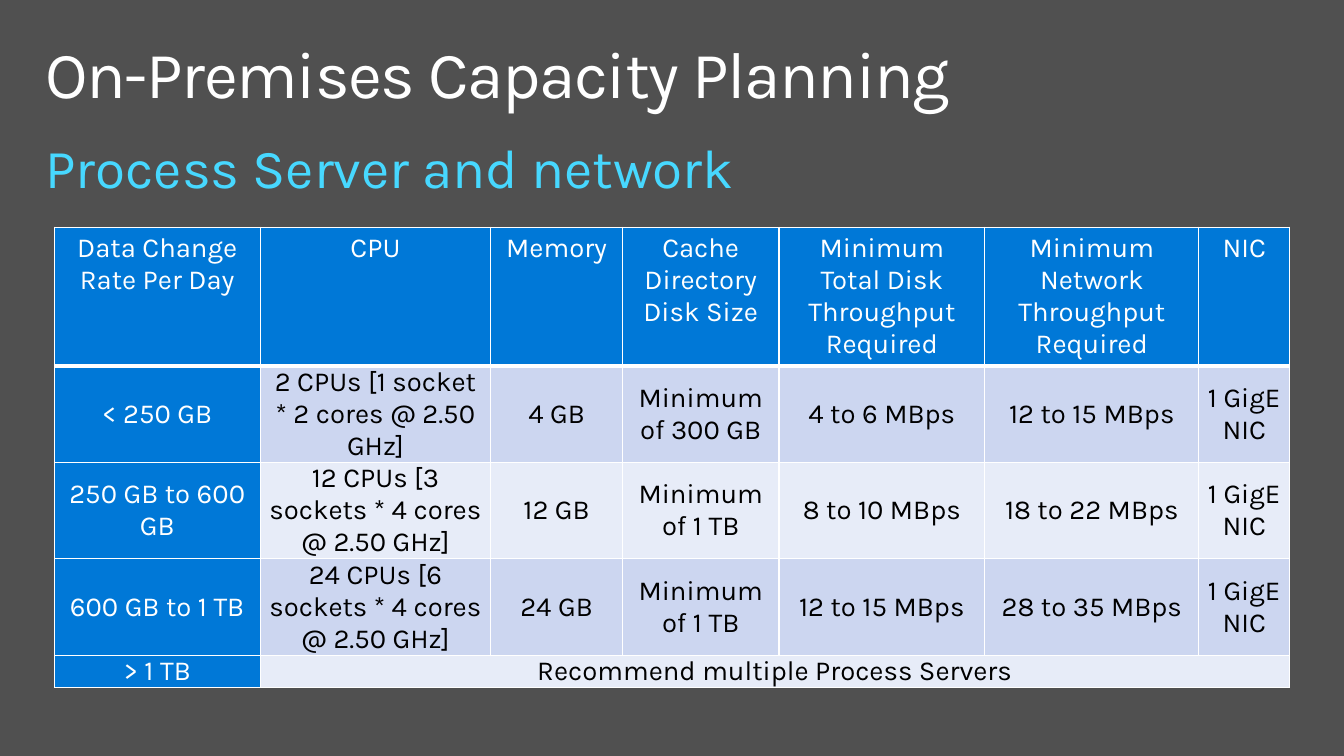
from lxml.etree import SubElement as Sub
from pptx import Presentation as Deck
from pptx.dml.color import RGBColor as Color
from pptx.enum.text import MSO_ANCHOR as Anchor, MSO_AUTO_SIZE as Auto, PP_ALIGN as Align
from pptx.oxml.ns import qn
from pptx.util import Pt

FONT = "Karla"
GREY, BLUE, CYAN = "505050", "0078D7", "47D8FF"
WHITE, BLACK = "FFFFFF", "000000"
BANDS = ["CCD6F0", "E7ECF8"]

COLS = [150, 168, 96, 114, 150, 156, 66]
HEIGHTS = [101, 70, 70, 70, 23]
ROWS = [
    ["Data Change Rate Per Day", "CPU", "Memory", "Cache Directory Disk Size",
     "Minimum Total Disk Throughput\nRequired",
     "Minimum Network Throughput Required", "NIC"],
    ["< 250 GB", "2 CPUs [1 socket * 2 cores @ 2.50 GHz]", "4 GB",
     "Minimum of 300 GB", "4 to 6 MBps", "12 to 15 MBps", "1 GigE NIC"],
    ["250 GB to 600 GB", "12 CPUs [3 sockets * 4 cores @ 2.50 GHz]", "12 GB",
     "Minimum of 1 TB", "8 to 10 MBps", "18 to 22 MBps", "1 GigE NIC"],
    ["600 GB to 1 TB", "24 CPUs [6 sockets * 4 cores @ 2.50 GHz]", "24 GB",
     "Minimum of 1 TB", "12 to 15 MBps", "28 to 35 MBps", "1 GigE NIC"],
    ["> 1 TB", "Recommend multiple Process Servers"],
]


def paint(fill, code):
    fill.solid()
    fill.fore_color.rgb = Color.from_string(code)


def write(frame, text, size=20, color=WHITE, align=Align.LEFT, line=None, track=None):
    frame.word_wrap = True
    frame.text = text
    for para in frame.paragraphs:
        para.alignment = align
        para.line_spacing = line
        for run in para.runs:
            font = run.font
            font.name, font.size, font.bold = FONT, Pt(size), False
            paint(font.fill, color)
            if track:
                run._r.get_or_add_rPr().set("spc", str(track * 100))


def place(shape, box, text, **style):
    shape.left, shape.top, shape.width, shape.height = map(Pt, box)
    frame = shape.text_frame
    write(frame, text, line=0.9, **style)
    frame.auto_size = Auto.NONE
    frame.vertical_anchor = Anchor.TOP
    frame.margin_left = frame.margin_right = Pt(11.5)
    frame.margin_top = frame.margin_bottom = Pt(7.2)


def heading(slide, box):
    left, top, width = box
    title, body = slide.placeholders
    place(title, (left, top, width, 72), "On-Premises Capacity Planning",
          size=48, track=-1)
    place(body, (left, top + 72.8, width, 111.6), "Process Server and network",
          size=40, color=CYAN)
    props = body.text_frame.paragraphs[0]._p.get_or_add_pPr()
    props.set("marL", "0")
    props.set("indent", "0")
    Sub(props, qn("a:buNone"))


def edge(cell, side, width):
    line = Sub(cell._tc.get_or_add_tcPr(), qn("a:ln" + side), w=str(Pt(width)))
    fill = Sub(line, qn("a:solidFill"))
    Sub(fill, qn("a:srgbClr"), val=WHITE)


def plan(slide, left, top):
    shape = slide.shapes.add_table(len(ROWS), len(COLS), Pt(left), Pt(top),
                                   Pt(sum(COLS)), Pt(sum(HEIGHTS)))
    table = shape.table
    for col, width in zip(table.columns, COLS):
        col.width = Pt(width)
    for row, height in zip(table.rows, HEIGHTS):
        row.height = Pt(height)
    last = len(ROWS) - 1
    table.cell(last, 1).merge(table.cell(last, len(COLS) - 1))
    for r, texts in enumerate(ROWS):
        for c in range(len(COLS)):
            cell = table.cell(r, c)
            head = r == 0
            blue = head or c == 0
            for side in "LRTB":
                thick = (r, side) in [(0, "B"), (1, "T")]
                edge(cell, side, 3 if thick else 1)
            paint(cell.fill, BLUE if blue else BANDS[(r - 1) % 2])
            if not head:
                cell.vertical_anchor = Anchor.MIDDLE
                cell.margin_left = cell.margin_right = Pt(4.5)
                cell.margin_top = cell.margin_bottom = 0
            if c < len(texts):
                write(cell.text_frame, texts[c], align=Align.CENTER,
                      color=WHITE if blue else BLACK)


def main():
    deck = Deck()
    deck.slide_width, deck.slide_height = Pt(979.2), Pt(550.8)
    slide = deck.slides.add_slide(deck.slide_layouts[1])
    paint(slide.background.fill, GREY)
    heading(slide, (21.6, 23, 936))
    plan(slide, 39.6, 165.6)
    deck.save("out.pptx")


if __name__ == "__main__":
    main()
